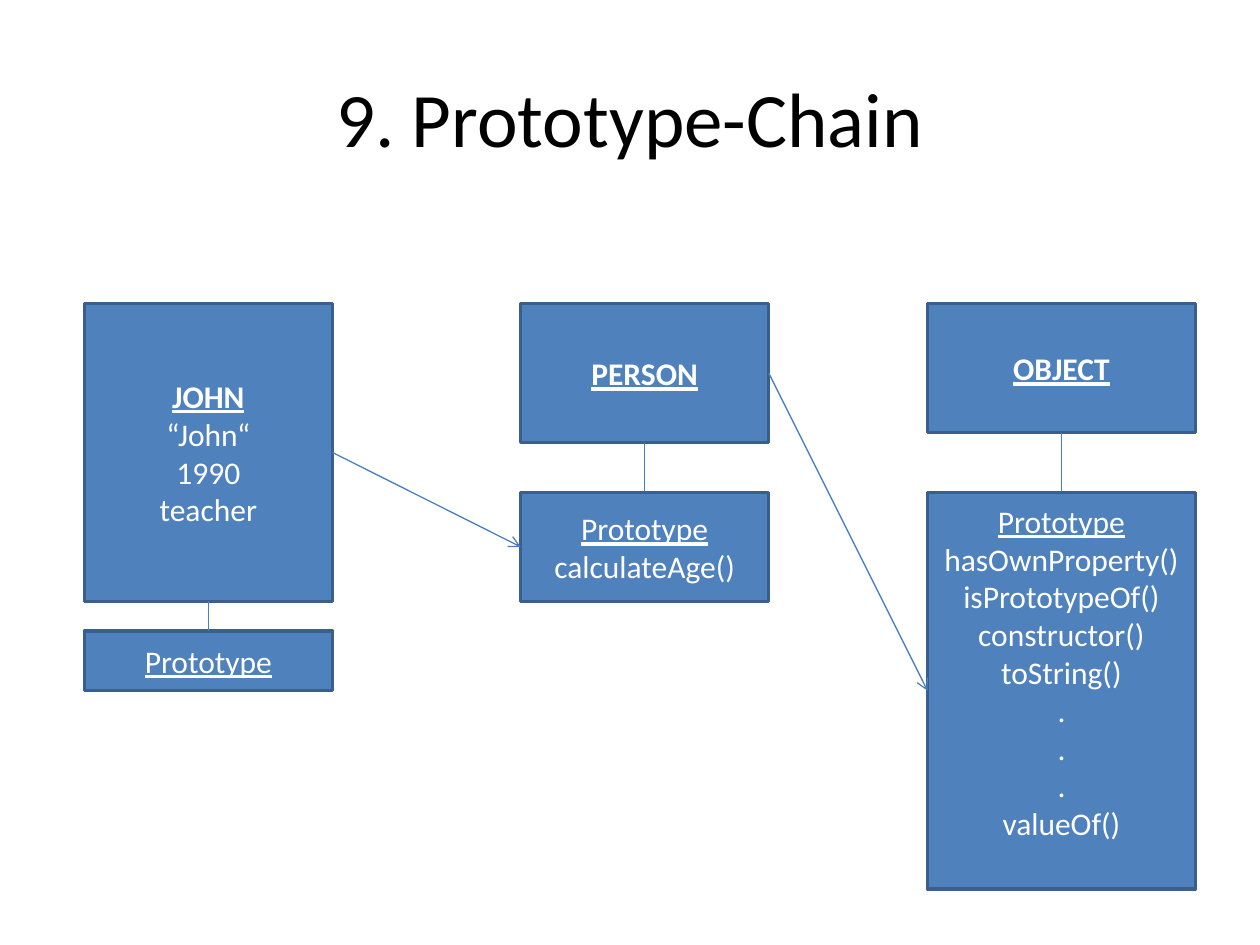
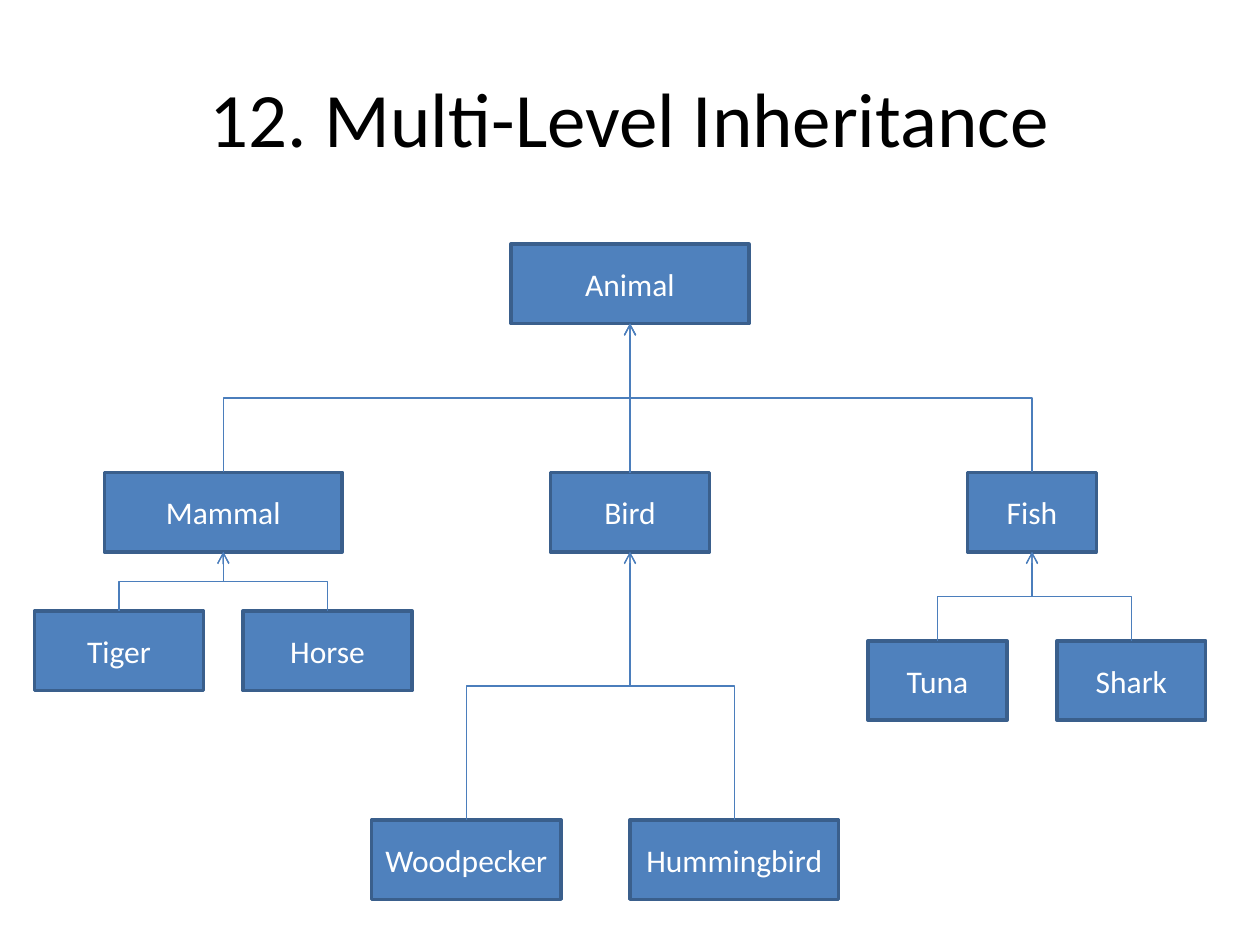
from lxml import etree
from pptx import Presentation
from pptx.dml.color import RGBColor
from pptx.enum.shapes import MSO_CONNECTOR, MSO_SHAPE
from pptx.enum.text import MSO_ANCHOR, PP_ALIGN
from pptx.oxml.ns import qn
from pptx.util import Pt

RECTANGLE = MSO_SHAPE.RECTANGLE
STRAIGHT, ELBOW = MSO_CONNECTOR.STRAIGHT, MSO_CONNECTOR.ELBOW
CENTER, MIDDLE = PP_ALIGN.CENTER, MSO_ANCHOR.MIDDLE
TOP, LEFT, BOTTOM, RIGHT = range(4)
TITLE_ONLY = 5

FONT = "Calibri"
COLORS = {"title": "000000", "box": "4F81BD", "edge": "3A5F8C",
          "link": "4B7EBC", "label": "FFFFFF"}

CHAIN_TITLE = "9. Prototype-Chain"
CHAIN_TOP = 173.5
CHAIN = [
    {"left": 48.2, "width": 141.8, "height": 170.1,
     "owner": ["JOHN", "“John“", "1990", "teacher"],
     "prototype_top": 360.6, "prototype_height": 34,
     "prototype": ["Prototype"], "bottom_inset": 3.6},
    {"left": 297.5, "width": 141.8, "height": 79.4,
     "owner": ["PERSON"],
     "prototype_top": 281.3, "prototype_height": 62.4,
     "prototype": ["Prototype", "calculateAge()"], "bottom_inset": 3.6},
    {"left": 530, "width": 153.1, "height": 73.7,
     "owner": ["OBJECT"],
     "prototype_top": 281.3, "prototype_height": 226.8,
     "prototype": ["Prototype", "hasOwnProperty()", "isPrototypeOf()",
                   "constructor()", "toString()", ".", ".", ".", "valueOf()"],
     "bottom_inset": 25.2},
]

TREE_TITLE = "12. Multi-Level Inheritance"
SPECIES_HEIGHT = 45.4
TREE = [
    ("Animal", None, 360, 139.5, 136),
    ("Mammal", "Animal", 127.6, 270, 136),
    ("Bird", "Animal", 360, 270, 91),
    ("Fish", "Animal", 589.7, 270, 73.7),
    ("Tiger", "Mammal", 68, 349.2, 96.6),
    ("Horse", "Mammal", 187.2, 349.2, 96.6),
    ("Woodpecker", "Bird", 266.5, 468.5, 108.4),
    ("Hummingbird", "Bird", 419.6, 468.5, 119),
    ("Tuna", "Fish", 535.7, 366.2, 79.4),
    ("Shark", "Fish", 646.5, 366.2, 85),
]


def color(key):
    return RGBColor.from_string(COLORS[key])


def style_runs(paragraph, size, color_key, bold=False, underline=False):
    paragraph.alignment = CENTER
    for run in paragraph.runs:
        run.font.name = FONT
        run.font.size = Pt(size)
        run.font.color.rgb = color(color_key)
        run.font.bold = bold
        run.font.underline = underline


def add_titled_slide(deck, heading):
    slide = deck.slides.add_slide(deck.slide_layouts[TITLE_ONLY])
    title = slide.shapes.title
    title.left, title.top, title.width, title.height = map(Pt, (36, 21.6, 648, 90))
    title.text_frame.text = heading
    title.text_frame.vertical_anchor = MIDDLE
    style_runs(title.text_frame.paragraphs[0], 44, "title")
    return slide


def add_box(slide, lines, left, top, width, height, bold=False, underline=False):
    box = slide.shapes.add_shape(RECTANGLE, Pt(left), Pt(top), Pt(width), Pt(height))
    box.shadow.inherit = False
    box.fill.solid()
    box.fill.fore_color.rgb = color("box")
    box.line.color.rgb = color("edge")
    box.line.width = Pt(2)
    frame = box.text_frame
    frame.word_wrap = True
    frame.vertical_anchor = MIDDLE
    frame.text = "\n".join(lines)
    for index, paragraph in enumerate(frame.paragraphs):
        heads = index == 0
        style_runs(paragraph, 18, "label", bold and heads, underline and heads)
    return box


def link(slide, source, source_side, target, target_side, arrow=True, kind=STRAIGHT):
    connector = slide.shapes.add_connector(kind, 0, 0, 0, 0)
    connector.begin_connect(source, source_side)
    connector.end_connect(target, target_side)
    connector.line.color.rgb = color("link")
    connector.line.width = Pt(0.75)
    properties = connector._element.spPr
    if arrow:
        etree.SubElement(properties.find(qn("a:ln")), qn("a:tailEnd"), type="arrow")
    etree.SubElement(properties, qn("a:effectLst"))
    return connector


def link_upward(slide, child, parent):
    child_x = child.left + child.width // 2
    parent_x = parent.left + parent.width // 2
    if abs(child_x - parent_x) < Pt(1):
        link(slide, child, TOP, parent, BOTTOM)
        return
    connector = link(slide, child, TOP, parent, BOTTOM, kind=ELBOW)
    parent_bottom = parent.top + parent.height
    rise, run = child.top - parent_bottom, abs(child_x - parent_x)
    connector.left = (child_x + parent_x - rise) // 2
    connector.top = (child.top + parent_bottom - run) // 2
    connector.width, connector.height = rise, run
    parent_on_right = parent_x > child_x
    transform = connector._element.spPr.find(qn("a:xfrm"))
    transform.set("rot", str((90 if parent_on_right else 270) * 60000))
    transform.set("flipH", "1" if parent_on_right else "0")
    transform.set("flipV", "1")


def build_chain(deck):
    slide = add_titled_slide(deck, CHAIN_TITLE)
    previous_owner = None
    for column in CHAIN:
        left, width = column["left"], column["width"]
        owner = add_box(slide, column["owner"], left, CHAIN_TOP, width,
                        column["height"], bold=True, underline=True)
        prototype = add_box(slide, column["prototype"], left, column["prototype_top"],
                            width, column["prototype_height"], underline=True)
        prototype.text_frame.margin_bottom = Pt(column["bottom_inset"])
        link(slide, owner, BOTTOM, prototype, TOP, arrow=False)
        if previous_owner is not None:
            link(slide, previous_owner, RIGHT, prototype, LEFT)
        previous_owner = owner


def build_tree(deck):
    slide = add_titled_slide(deck, TREE_TITLE)
    species = {}
    for name, parent, center, top, width in TREE:
        species[name] = add_box(slide, [name], center - width / 2, top,
                                width, SPECIES_HEIGHT)
        if parent:
            link_upward(slide, species[name], species[parent])


def main():
    deck = Presentation()
    deck.slide_width, deck.slide_height = Pt(720), Pt(540)
    build_chain(deck)
    build_tree(deck)
    deck.save("out.pptx")


if __name__ == "__main__":
    main()
